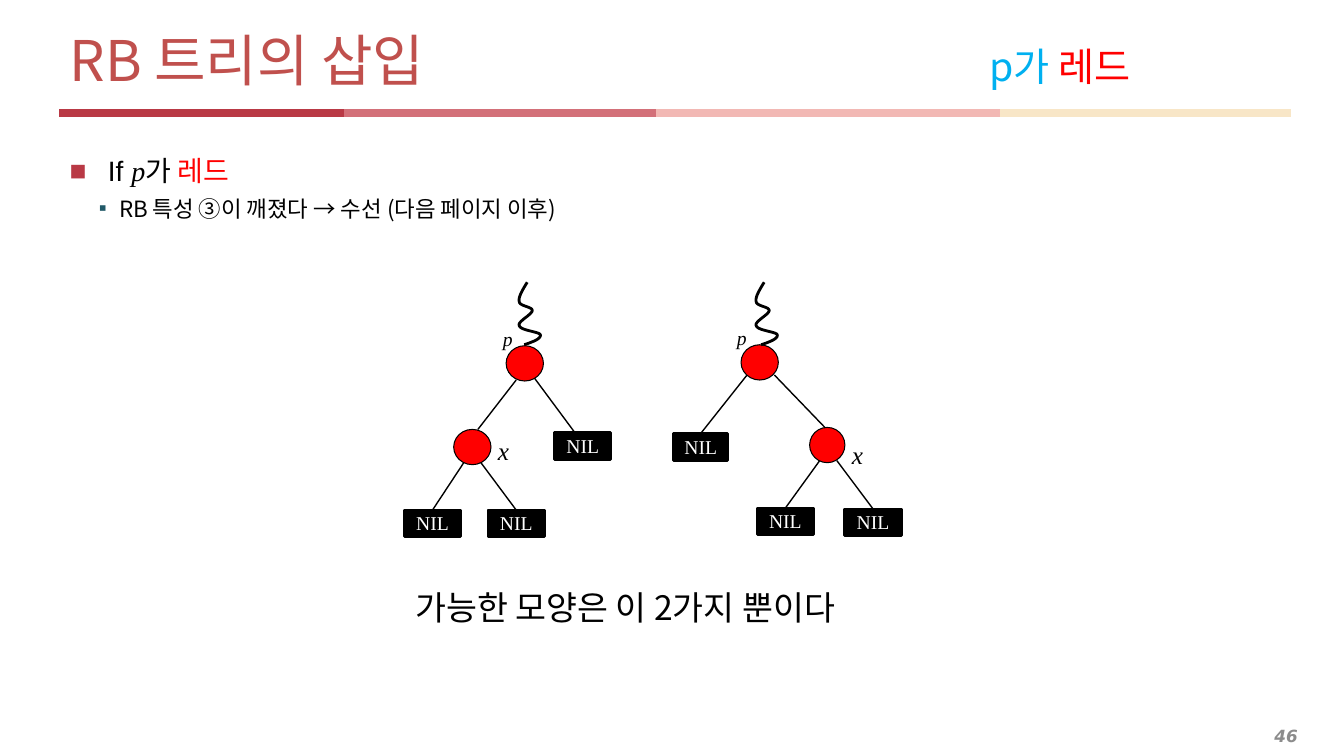
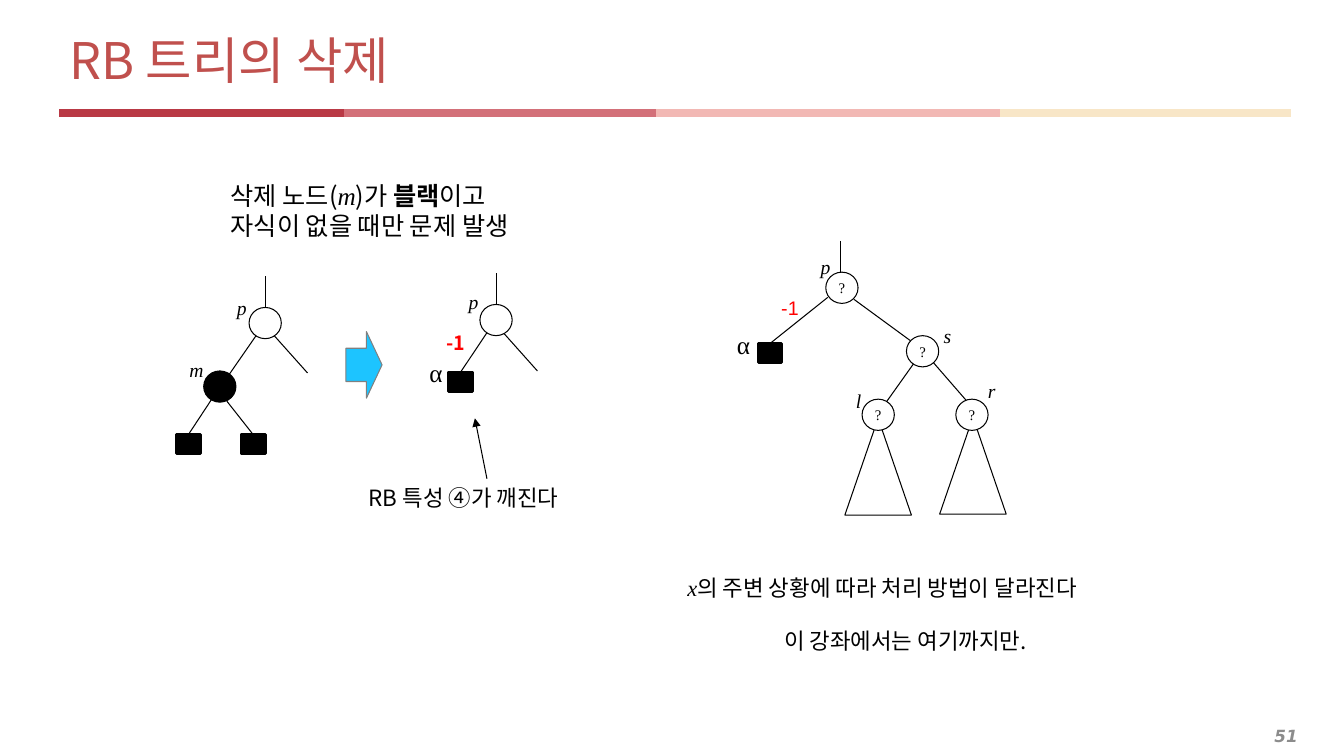
"""Build two slides on inserting into and deleting from red-black trees."""
import dataclasses
import typing

import lxml.etree
import pptx
import pptx.dml.color
import pptx.enum.shapes
import pptx.enum.text
import pptx.oxml.ns
import pptx.shapes.autoshape
import pptx.shapes.connector
import pptx.slide
import pptx.text.text
import pptx.util

PX = 9144
SANS, SERIF, ARIAL, FOOT = "Noto Sans CJK KR", "Times New Roman", "Arial", "DejaVu Sans"
INK = {
    "black": "000000", "white": "FFFFFF", "red": "FF0000", "sky": "00B0F0",
    "title": "C0504D", "grey": "8C8C8C", "edge": "808080", "arrow": "1DC4FF",
    "rose": "B93945", "pink": "D37079", "blush": "F2B8B4", "cream": "F8E6C7", "teal": "215968",
}
KIND = pptx.enum.shapes.MSO_SHAPE
ALIGN = pptx.enum.text.PP_ALIGN
MID = pptx.enum.text.MSO_ANCHOR.MIDDLE
Slide = pptx.slide.Slide
Shape = pptx.shapes.autoshape.Shape
Frame = pptx.text.text.TextFrame
Par = pptx.text.text._Paragraph
Point = tuple[int, int]
Box = tuple[int, int, int, int]


class Span(typing.NamedTuple):
    """A piece of text with its format."""
    text: str
    form: dict[str, typing.Any]


@dataclasses.dataclass(frozen=True)
class Node:
    """A round tree node."""
    box: Box
    fill: str = "white"
    text: str = ""


@dataclasses.dataclass(frozen=True)
class Leaf:
    """A black leaf and the start of the edge that reaches it."""
    box: Box
    start: typing.Optional[Point] = None
    text: str = ""


@dataclasses.dataclass(frozen=True)
class Mark:
    """A one-line label."""
    box: Box
    text: str
    size: int = 14
    font: str = SERIF
    ink: str = "black"
    bold: bool = False
    slant: bool = True


@dataclasses.dataclass(frozen=True)
class Tree:
    """The parts of one tree drawing."""
    edges: tuple[tuple[Point, Point], ...]
    nodes: tuple[Node, ...]
    leaves: tuple[Leaf, ...]
    marks: tuple[Mark, ...]


BANDS = ((310, 651, "pink"), (651, 992, "blush"), (992, 1280, "cream"), (59, 341, "rose"))
WAVE = ((6, 62), (15, 59), (23, 56), (22, 52), (21, 49), (2, 48), (1, 43), (-1, 39), (14, 32),
        (14, 28), (14, 24), (1, 24), (1, 19), (0, 15), (4, 8), (9, 0))

INSERT = (
    Tree(
        (((512, 377), (474, 426)), ((530, 375), (570, 429))),
        (Node((502, 343, 37, 35), "red"), Node((450, 426, 37, 35), "red")),
        (Leaf((401, 506, 56, 26), (460, 459), "NIL"), Leaf((484, 506, 56, 26), (477, 459), "NIL"),
         Leaf((550, 429, 56, 27), None, "NIL")),
        (Mark((489, 319, 30, 34), "p"), Mark((484, 427, 31, 40), "x", 18)),
    ),
    Tree(
        (((768, 372), (820, 426)),),
        (Node((735, 342, 37, 35), "red"), Node((803, 424, 35, 35), "red")),
        (Leaf((668, 430, 54, 27), (741, 372), "NIL"), Leaf((751, 504, 56, 26), (813, 457), "NIL"),
         Leaf((838, 505, 56, 26), (830, 457), "NIL")),
        (Mark((721, 318, 30, 34), "p"), Mark((835, 431, 31, 40), "x", 18)),
    ),
)
DELETE = (
    Tree(
        (((263, 274), (263, 305)), ((254, 333), (227, 372)), ((272, 333), (305, 370))),
        (Node((247, 305, 32, 31)), Node((202, 368, 32, 31), "black")),
        (Leaf((175, 431, 24, 19), (210, 396)), Leaf((239, 431, 24, 19), (225, 398))),
        (Mark((178, 350, 28, 28), "m"), Mark((225, 289, 28, 28), "p")),
    ),
    Tree(
        (((492, 271), (492, 302)), ((500, 331), (533, 368))),
        (Node((476, 302, 32, 31)),),
        (Leaf((445, 369, 24, 19), (483, 330)),),
        (Mark((433, 323, 43, 34), "-1", 14, SANS, "red", True, False),
         Mark((455, 283, 28, 28), "p"), Mark((416, 350, 28, 33), "α", 18, slant=False)),
    ),
    Tree(
        (((834, 239), (834, 270)), ((847, 297), (903, 338)), ((906, 361), (879, 399)),
         ((926, 360), (959, 398))),
        tuple(Node((x, y, 32, 31), text="?")
              for x, y in ((819, 270), (899, 333), (855, 396), (948, 396))),
        (Leaf((752, 341, 23, 19), (821, 295)),),
        (Mark((765, 289, 38, 34), "-1", 14, ARIAL, "red", slant=False),
         Mark((926, 316, 28, 37), "s"), Mark((839, 381, 28, 37), "l"),
         Mark((970, 371, 28, 37), "r"), Mark((804, 248, 28, 37), "p"),
         Mark((721, 322, 27, 33), "α", 18, slant=False)),
    ),
)


def tone(name: str) -> pptx.dml.color.RGBColor:
    """Look up a colour by name."""
    return pptx.dml.color.RGBColor.from_string(INK[name])


def emu(box: typing.Iterable[int]) -> list[int]:
    """Turn px into EMU."""
    return [n * PX for n in box]


def tag(host: typing.Any, name: str, **keys: str) -> typing.Any:
    """Append a DrawingML element."""
    return lxml.etree.SubElement(host, pptx.oxml.ns.qn("a:" + name), keys)


def span(text: str, **form: typing.Any) -> Span:
    """Pair text with its format."""
    return Span(text, form)


def put(par: Par, text: str, size: float = 16, font: str = SANS, ink: str = "black",
        bold: bool = False, slant: bool = False) -> None:
    """Add a formatted run to a paragraph."""
    run = par.add_run()
    run.text = text
    face = run.font
    face.size, face.name, face.bold, face.italic = pptx.util.Pt(size), font, bold, slant
    face.color.rgb = tone(ink)
    tag(run._r.get_or_add_rPr(), "ea", typeface=SANS)


def write(frame: Frame, *lines: typing.Sequence[Span], align: ALIGN = ALIGN.LEFT,
          pitch: typing.Optional[int] = None) -> None:
    """Fill a text frame, one paragraph a line."""
    frame.word_wrap = True
    frame.auto_size = pptx.enum.text.MSO_AUTO_SIZE.NONE
    for rank, line in enumerate(lines):
        par = frame.add_paragraph() if rank else frame.paragraphs[0]
        par.alignment = align
        if pitch:
            par.line_spacing = pptx.util.Pt(pitch)
        for part in line:
            put(par, part.text, **part.form)


def label(slide: Slide, box: Box, *lines: typing.Sequence[Span], **form: typing.Any) -> Frame:
    """Add a text box."""
    frame = slide.shapes.add_textbox(*emu(box)).text_frame
    write(frame, *lines, **form)
    return frame


def link(slide: Slide, start: Point, stop: Point, ink: str = "black", width: float = 0.75,
         head: bool = False, leaf: typing.Optional[Shape] = None) -> None:
    """Draw a straight line, joined to the top of a leaf if given."""
    kind = pptx.enum.shapes.MSO_CONNECTOR.STRAIGHT
    line = slide.shapes.add_connector(kind, *emu(start + stop))
    line.line.color.rgb = tone(ink)
    line.line.width = pptx.util.Pt(width)
    if leaf is not None:
        line.end_connect(leaf, 0)
    props = line.element.spPr
    if head:
        tag(props.find(pptx.oxml.ns.qn("a:ln")), "tailEnd", type="triangle")
    tag(props, "effectLst")


def paint(shape: Shape, fill: typing.Optional[str], edge: str = "black",
          width: float = 0.75) -> None:
    """Set fill and outline without a shadow."""
    shape.shadow.inherit = False
    if fill:
        shape.fill.solid()
        shape.fill.fore_color.rgb = tone(fill)
    else:
        shape.fill.background()
    shape.line.color.rgb = tone(edge)
    shape.line.width = pptx.util.Pt(width)


def form(slide: Slide, kind: KIND, box: Box, fill: typing.Optional[str], edge: str = "black",
         width: float = 0.75, text: str = "", **face: typing.Any) -> Shape:
    """Add a preset shape with optional centred text."""
    shape = slide.shapes.add_shape(kind, *emu(box))
    paint(shape, fill, edge, width)
    if text:
        frame = shape.text_frame
        frame.margin_left = frame.margin_right = frame.margin_top = frame.margin_bottom = 0
        frame.vertical_anchor = MID
        write(frame, [span(text, font=SERIF, **face)], align=ALIGN.CENTER)
    return shape


def wave(slide: Slide, left: int, top: int) -> None:
    """Draw the wavy stem above a root."""
    fine, steps = 100, 10
    dots = []
    for k in range(0, len(WAVE) - 1, 3):
        for n in range(steps + 1):
            t = n / steps
            mix = ((1 - t) ** 3, 3 * t * (1 - t) ** 2, 3 * t * t * (1 - t), t ** 3)
            x, y = (sum(m * p[a] for m, p in zip(mix, WAVE[k:k + 4])) for a in (0, 1))
            dots.append((round((left + x) * fine), round((top + y) * fine)))
    pen = slide.shapes.build_freeform(*dots[0], scale=PX / fine)
    pen.add_line_segments(dots[1:], close=False)
    paint(pen.convert_to_shape(), None, width=2)


def plant(slide: Slide, tree: Tree, width: float) -> None:
    """Draw one tree."""
    for start, stop in tree.edges:
        link(slide, start, stop, width=width)
    for leaf in tree.leaves:
        shape = form(slide, KIND.RECTANGLE, leaf.box, "black", width=2,
                     text=leaf.text, size=14, ink="white")
        if leaf.start:
            link(slide, leaf.start, leaf.box[:2], width=width, leaf=shape)
    for node in tree.nodes:
        form(slide, KIND.OVAL, node.box, node.fill, text=node.text, size=10.5)
    for mark in tree.marks:
        label(slide, mark.box, [span(mark.text, size=mark.size, font=mark.font, ink=mark.ink,
                                     bold=mark.bold, slant=mark.slant)])


def start(deck: typing.Any, layout: int, page: int, *title: Span, stop: int = 0) -> Slide:
    """Add a slide with its title, bands and page number."""
    slide = deck.slides.add_slide(deck.slide_layouts[layout])
    head = slide.shapes.title
    head.left, head.top, head.width, head.height = emu((59, 25, 1221, 68))
    frame = head.text_frame
    frame.vertical_anchor = MID
    if stop:
        tabs = tag(frame.paragraphs[0]._p.get_or_add_pPr(), "tabLst")
        tag(tabs, "tab", pos=str(stop * PX), algn="l")
    write(frame, title)
    for left, right, ink in BANDS:
        link(slide, (left, 112), (right, 112), ink, 6)
    foot = label(slide, (20, 714, 1277, 31),
                 [span(str(page), size=12, font=FOOT, ink="grey", bold=True, slant=True)],
                 align=ALIGN.RIGHT)
    foot.vertical_anchor = MID
    return slide


def point(par: Par, left: int, hang: int, sign: str, ink: str) -> None:
    """Give a paragraph a hanging bullet."""
    props = par._p.get_or_add_pPr()
    props.set("marL", str(left * PX))
    props.set("indent", str(-hang * PX))
    tag(tag(props, "buClr"), "srgbClr", val=INK[ink])
    tag(props, "buFont", typeface=ARIAL)
    tag(props, "buChar", char=sign)


def insert(deck: typing.Any) -> None:
    """Build the insertion slide."""
    slide = start(deck, 1, 46, span("RB 트리의 삽입", size=40, ink="title"),
                  span("\tp가 ", size=28, ink="sky"), span("레드", size=28, ink="red"), stop=912)
    body = slide.placeholders[1]
    body.left, body.top, body.width, body.height = emu((59, 131, 1221, 590))
    write(body.text_frame,
          [span("If ", size=20, font=ARIAL), span("p", size=20, font=SERIF, slant=True),
           span("가 ", size=20), span("레드", size=20, ink="red")],
          [span("RB 특성 ③이 깨졌다 → 수선 (다음 페이지 이후)")])
    first, second = body.text_frame.paragraphs
    point(first, 38, 38, "■", "rose")
    first.line_spacing, first.space_before, first.space_after = 1.5, 0, pptx.util.Pt(2)
    second.level = 1
    point(second, 49, 20, "▪", "teal")
    second.space_after = pptx.util.Pt(6)
    for tree, left in zip(INSERT, (514, 749)):
        plant(slide, tree, 1)
        wave(slide, left, 280)
    label(slide, (402, 577, 542, 50), [span("가능한 모양은 이 2가지 뿐이다", size=24)])


def delete(deck: typing.Any) -> None:
    """Build the deletion slide."""
    slide = start(deck, 5, 51, span("RB 트리의 삭제", size=36, ink="title"))
    label(slide, (219, 175, 334, 71),
          [span("삭제 노드(", size=18), span("m", size=18, font=SERIF, slant=True),
           span(")가 ", size=18), span("블랙", size=18, bold=True), span("이고", size=18)],
          [span("자식이 없을 때만 문제 발생", size=18)], pitch=21)
    label(slide, (672, 565, 460, 37), [span("x", font=SERIF, slant=True),
                                       span("의 주변 상황에 따라 처리 방법이 달라진다")])
    label(slide, (754, 617, 288, 37), [span("이 강좌에서는 여기까지만.")], align=ALIGN.CENTER)
    label(slide, (356, 475, 255, 41), [span("RB 특성 ④가 깨진다")])
    link(slide, (483, 475), (471, 415), head=True)
    arrow = form(slide, KIND.RIGHT_ARROW, (343, 329, 36, 66), "arrow", "edge")
    arrow.adjustments[1] = 0.43
    for left, top in ((932, 414), (838, 415)):
        form(slide, KIND.ISOSCELES_TRIANGLE, (left, top, 66, 96), None)
    for tree in DELETE:
        plant(slide, tree, 0.75)


def main() -> None:
    """Build and save the deck."""
    deck = pptx.Presentation()
    deck.slide_width, deck.slide_height = emu((1333, 750))
    insert(deck)
    delete(deck)
    deck.save("out.pptx")


if __name__ == "__main__":
    main()
